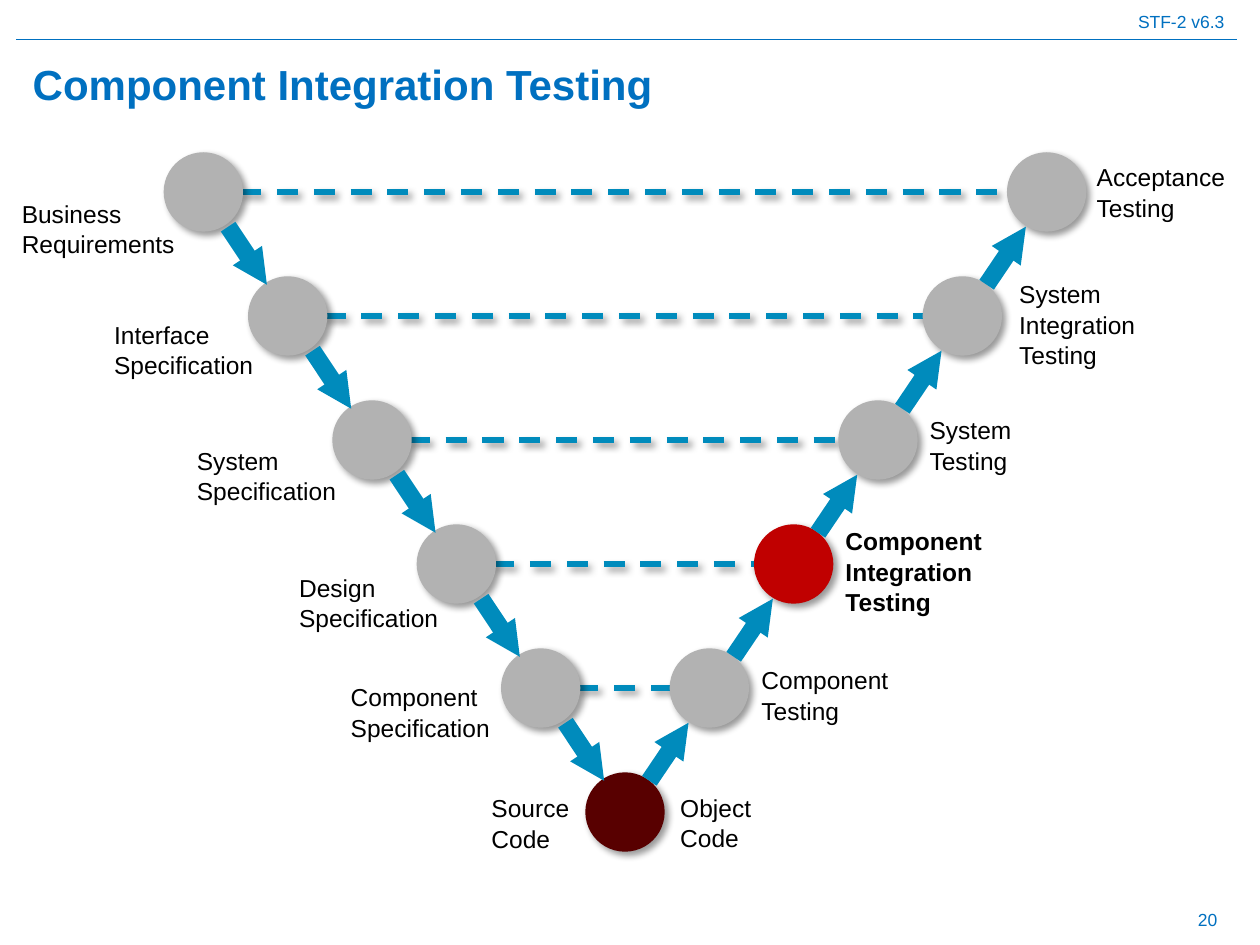
from lxml import etree
from pptx import Presentation
from pptx import util as u
from pptx.dml.color import RGBColor
from pptx.enum import dml, shapes, text
from pptx.oxml import ns

rgb = RGBColor.from_string
BLUE, TEAL, GREY, RED, MAROON = "0070C0", "008BBC", "B2B2B2", "C00000", "580000"
LEFT, RIGHT = text.PP_ALIGN.LEFT, text.PP_ALIGN.RIGHT
TOP, MIDDLE = text.MSO_ANCHOR.TOP, text.MSO_ANCHOR.MIDDLE


def set_effects(sp, shadow):
    """Replace inherited effects by a soft drop shadow or by none."""
    spPr = sp._element.spPr
    for old in spPr.findall(ns.qn("a:effectLst")):
        spPr.remove(old)
    effects = etree.SubElement(spPr, ns.qn("a:effectLst"))
    if shadow:
        outer = etree.SubElement(effects, ns.qn("a:outerShdw"), blurRad=str(u.Pt(4)),
                                 dist=str(u.Pt(3)), dir="2700000", algn="tl", rotWithShape="0")
        clr = etree.SubElement(outer, ns.qn("a:srgbClr"), val="000000")
        etree.SubElement(clr, ns.qn("a:alpha"), val="40000")


def add_line(x1, y1, x2, y2, color, width, shadow=False):
    sp = s.shapes.add_connector(shapes.MSO_CONNECTOR.STRAIGHT,
                                u.Cm(x1), u.Cm(y1), u.Cm(x2), u.Cm(y2))
    sp.line.color.rgb = rgb(color)
    sp.line.width = u.Pt(width)
    set_effects(sp, shadow)
    return sp


prs = Presentation()
prs.slide_width, prs.slide_height = u.Cm(25.4), u.Cm(19.05)
s = prs.slides.add_slide(prs.slide_layouts[6])

# V geometry: circle size, first centre, steps per level, distance between the arms
SIZE, X0, Y0, DX, DY, SPAN, LEVELS = 1.6, 4.1, 3.87, 1.7, 2.5, 17, 5
arms = [(X0 + i * DX, X0 + SPAN - i * DX, Y0 + i * DY) for i in range(LEVELS)]

# Header rule
add_line(0.33, 0.79, 24.94, 0.79, BLUE, 0.75)

# Dashed links between matching levels
for left, right, y in arms:
    link = add_line(left, y, right, y, TEAL, 3, shadow=True)
    link.line.dash_style = dml.MSO_LINE.DASH

# Circles
circles = [(x, y, GREY) for left, right, y in arms for x in (left, right)]
circles[7] = (*circles[7][:2], RED)
circles.append((X0 + SPAN / 2, Y0 + LEVELS * DY, MAROON))
for x, y, color in circles:
    sp = s.shapes.add_shape(shapes.MSO_SHAPE.OVAL, u.Cm(x - SIZE / 2), u.Cm(y - SIZE / 2),
                            u.Cm(SIZE), u.Cm(SIZE))
    sp.fill.solid()
    sp.fill.fore_color.rgb = rgb(color)
    sp.line.fill.background()
    set_effects(sp, shadow=True)

# Arrows down the left arm and up the right arm
for left, right, y in arms:
    for ends in ((left + 0.5, y + 0.7, left + 1.28, y + 1.87),
                 (right - 1.21, y + 1.87, right - 0.42, y + 0.7)):
        arrow = add_line(*ends, TEAL, 10)
        etree.SubElement(arrow.line._get_or_add_ln(), ns.qn("a:tailEnd"),
                         type="triangle", w="sm", len="sm")

# Text formats
label = {"size": u.Pt(14), "bold": False, "color": "000000"}
strong = {**label, "bold": True}
small = {**label, "size": u.Pt(10), "color": BLUE}
title = {"size": u.Pt(24), "bold": True, "color": BLUE}

# Wording: text, box, format, alignment, anchor
texts = [
    ("STF-2 v6.3", (0, 0.1, 24.93, 0.69), small, RIGHT, TOP),
    ("Component Integration Testing", (0.41, 0.99, 24.41, 1.4), title, LEFT, MIDDLE),
    ("20", (18.87, 18.03, 5.92, 1.02), small, RIGHT, MIDDLE),
]
labels = [
    ("Business Requirements", (0.1, 3.76, 4.37, 1.85), label),
    ("Interface Specification", (1.96, 6.2, 4.57, 1.85), label),
    ("System Specification", (3.63, 8.74, 4.37, 1.85), label),
    ("Design Specification", (5.69, 11.3, 3.96, 1.85), label),
    ("Component Specification", (6.73, 13.51, 3.96, 1.85), label),
    ("Source Code", (9.58, 15.75, 2.51, 1.63), label),
    ("Object Code", (13.39, 15.75, 2.26, 1.5), label),
    ("Component Testing", (15.01, 13.16, 3.61, 1.85), label),
    ("Component Integration Testing", (16.69, 10.34, 3.66, 2.16), strong),
    ("System Testing", (18.42, 8.15, 2.59, 1.45), label),
    ("System Integration Testing", (20.19, 5.36, 3.71, 2.18), label),
    ("Acceptance Testing", (21.77, 3.02, 3.45, 1.85), label),
]
texts += [(*item, LEFT, TOP) for item in labels]

for words, box, fmt, align, anchor in texts:
    place = [u.Cm(v) for v in box]
    if fmt in (label, strong):
        sp = s.shapes.add_shape(shapes.MSO_SHAPE.ROUNDED_RECTANGLE, *place)
        sp.fill.background()
        sp.line.fill.background()
        sp.shadow.inherit = False
        spacing = 1.05
    else:
        sp = s.shapes.add_textbox(*place)
        spacing = 1.0
    tf = sp.text_frame
    tf.word_wrap, tf.vertical_anchor = True, anchor
    p = tf.paragraphs[0]
    p.alignment, p.line_spacing = align, spacing
    r = p.add_run()
    r.text = words
    r.font.name = "Arial"
    r.font.color.rgb = rgb(fmt["color"])
    for key in ("size", "bold"):
        setattr(r.font, key, fmt[key])

prs.save("out.pptx")
